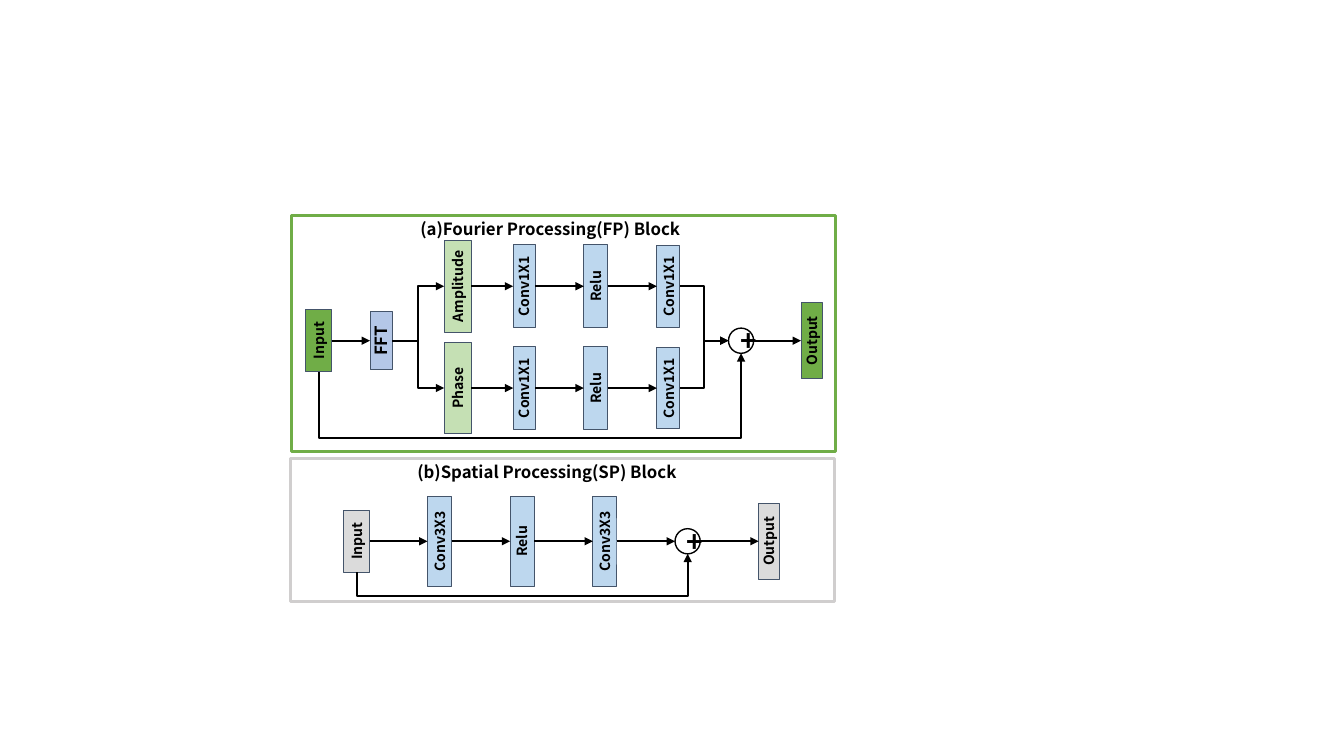
import pptx
import pptx.util
import pptx.oxml.ns
from lxml import etree
from pptx.dml.color import RGBColor
from pptx.enum.shapes import MSO_CONNECTOR, MSO_SHAPE
from pptx.enum.text import MSO_ANCHOR, PP_ALIGN

Inches, Pt = pptx.util.Inches, pptx.util.Pt
qn = pptx.oxml.ns.qn

FONT = "Noto Sans CJK SC"
COLORS = {
    "black": "000000", "white": "FFFFFF", "edge": "44546A",
    "green": "70AD47", "pale green": "C5E0B4", "blue": "BDD7EE",
    "fft": "B4C7E7", "gray": "DBDBDB", "gray frame": "D0CECE",
}
RADIUS = 0.125  # of the sum circles


def color(name):
    return RGBColor.from_string(COLORS[name])


def write(sp, text, size, align):
    tf = sp.text_frame
    tf.text = text
    p = tf.paragraphs[0]
    p.alignment = align
    font = p.runs[0].font
    font.name, font.size, font.bold = FONT, Pt(size), True
    font.color.rgb = color("black")
    return tf


def shape(slide, kind, x, y, w, h, fill, line, weight):
    sp = slide.shapes.add_shape(kind, Inches(x), Inches(y), Inches(w), Inches(h))
    sp.shadow.inherit = False
    if fill:
        sp.fill.solid()
        sp.fill.fore_color.rgb = color(fill)
    else:
        sp.fill.background()
    sp.line.color.rgb = color(line)
    sp.line.width = Pt(weight)
    return sp


def frame(slide, x, y, w, h, line, title, dx):
    """Outlined panel with its heading."""
    shape(slide, MSO_SHAPE.RECTANGLE, x, y, w, h, None, line, 2.25)
    box = slide.shapes.add_textbox(Inches(x + dx), Inches(y - 0.02), Inches(3.39), Inches(0.3))
    write(box, title, 12, PP_ALIGN.LEFT).word_wrap = True


def node(slide, cx, cy, text, length, thick, fill, size=10):
    """Upright block with text reading upwards; returns its left and right edges."""
    sp = shape(slide, MSO_SHAPE.RECTANGLE, cx - length / 2, cy - thick / 2,
               length, thick, fill, "edge", 0.75)
    sp.rotation = 270
    tf = write(sp, text, size, PP_ALIGN.CENTER)
    tf.word_wrap = False
    tf.vertical_anchor = MSO_ANCHOR.MIDDLE
    tf.margin_left = tf.margin_right = tf.margin_top = tf.margin_bottom = Inches(0.1)
    return cx - thick / 2, cx + thick / 2


def plus(slide, cx, cy):
    sp = shape(slide, MSO_SHAPE.FLOWCHART_CONNECTOR, cx - RADIUS, cy - RADIUS,
               2 * RADIUS, 2 * RADIUS, "white", "black", 1)
    write(sp, "+", 20, PP_ALIGN.CENTER).vertical_anchor = MSO_ANCHOR.MIDDLE
    return cx - RADIUS, cx + RADIUS


def arrow(slide, x1, y1, x2, y2):
    """Straight arrow, or an elbow when the ends differ in height."""
    kind = MSO_CONNECTOR.STRAIGHT if y1 == y2 else MSO_CONNECTOR.ELBOW
    cn = slide.shapes.add_connector(kind, Inches(x1), Inches(y1), Inches(x2), Inches(y2))
    cn.line.color.rgb = color("black")
    cn.line.width = Pt(1.5)
    etree.SubElement(cn.line._get_or_add_ln(), qn("a:tailEnd"), type="triangle")
    etree.SubElement(cn._element.spPr, qn("a:effectLst"))
    return cn


def skip(slide, x1, y1, x2, y2, bottom):
    """Bypass running down to bottom, across, then up: a quarter-turned elbow."""
    cx, cy = (x1 + x2) / 2, (y1 + y2) / 2
    rise, run = (y1 - y2) / 2, (x2 - x1) / 2
    cn = arrow(slide, cx + rise, cy + run, cx - rise, cy - run)
    spPr = cn._element.spPr
    spPr.find(qn("a:xfrm")).set("rot", "5400000")
    geom = spPr.find(qn("a:prstGeom"))
    guides = geom.find(qn("a:avLst"))
    if guides is None:
        guides = etree.SubElement(geom, qn("a:avLst"))
    bend = round((bottom - y1) / (y2 - y1) * 100000)
    etree.SubElement(guides, qn("a:gd"), name="adj1", fmla=f"val {bend}")


def chain(slide, x, cy, nodes):
    """Row of blocks joined by arrows; returns the outer left and right edges."""
    edges = [node(slide, x + dx, cy, *look) for dx, *look in nodes]
    for (_, right), (left, _) in zip(edges, edges[1:]):
        arrow(slide, right, cy, left, cy)
    return edges[0][0], edges[-1][1]


def fourier_block(slide, x, y, w, h):
    frame(slide, x, y, w, h, "green", "(a)Fourier Processing(FP) Block", 1.18)
    mid, sum_x = y + 1.24, x + 4.46

    # Input, transform, sum and output
    _, split = chain(slide, x, mid, [(0.27, "Input", 0.62, 0.26, "green"),
                                     (0.89, "FFT", 0.58, 0.22, "fft", 12)])
    sum_left, sum_right = plus(slide, sum_x, mid)
    out_left, _ = node(slide, x + 5.16, mid, "Output", 0.75, 0.21, "green")
    arrow(slide, sum_right, mid, out_left, mid)

    # Amplitude and phase branches
    for text, dy in (("Amplitude", 0.7), ("Phase", 1.71)):
        left, right = chain(slide, x, y + dy, [
            (1.65, text, 0.91, 0.27, "pale green"),
            (2.31, "Conv1X1", 0.82, 0.22, "blue"),
            (3.02, "Relu", 0.82, 0.24, "blue"),
            (3.74, "Conv1X1", 0.81, 0.23, "blue"),
        ])
        arrow(slide, split, mid, left, y + dy)
        arrow(slide, right, y + dy, sum_left, mid)

    skip(slide, x + 0.27, mid + 0.31, sum_x, mid + RADIUS, y + 2.21)


def spatial_block(slide, x, y, w, h):
    frame(slide, x, y, w, h, "gray frame", "(b)Spatial Processing(SP) Block", 1.16)
    mid, sum_x = y + 0.82, x + 3.94

    # Input and convolutions
    _, right = chain(slide, x, mid, [
        (0.66, "Input", 0.62, 0.26, "gray"),
        (1.48, "Conv3X3", 0.89, 0.24, "blue"),
        (2.3, "Relu", 0.89, 0.24, "blue"),
        (3.12, "Conv3X3", 0.89, 0.24, "blue"),
    ])

    # Sum and output
    sum_left, sum_right = plus(slide, sum_x, mid)
    out_left, _ = node(slide, x + 4.75, mid, "Output", 0.75, 0.21, "gray")
    arrow(slide, right, mid, sum_left, mid)
    arrow(slide, sum_right, mid, out_left, mid)
    skip(slide, x + 0.66, mid + 0.31, sum_x, mid + RADIUS, y + 1.36)


def main():
    prs = pptx.Presentation()
    prs.slide_width, prs.slide_height = Inches(13.33), Inches(7.5)
    slide = prs.slides.add_slide(prs.slide_layouts[6])
    spatial_block(slide, 2.88, 4.55, 5.4, 1.42)
    fourier_block(slide, 2.89, 2.14, 5.4, 2.34)
    prs.save("out.pptx")


if __name__ == "__main__":
    main()
